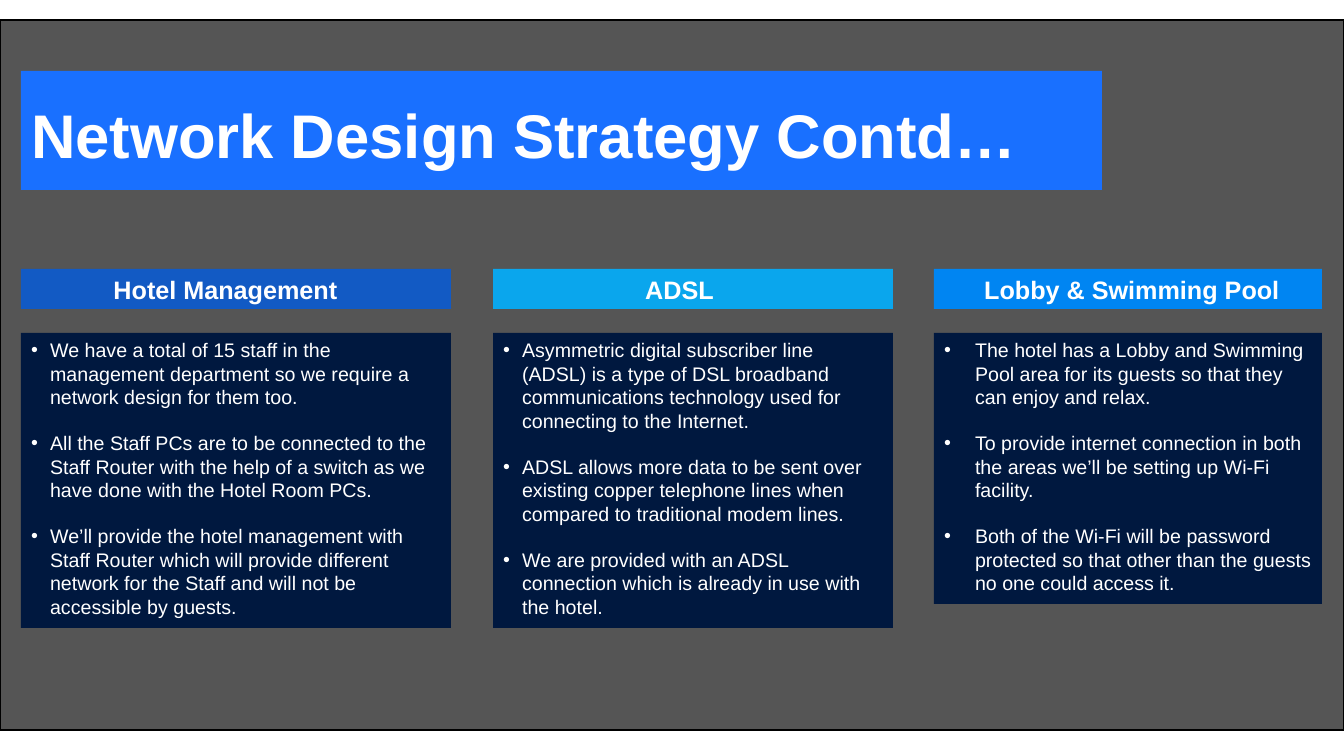
from lxml.etree import SubElement
from pptx import Presentation
from pptx.dml.color import RGBColor
from pptx.enum.shapes import MSO_SHAPE as Preset
from pptx.enum.text import MSO_ANCHOR as Anchor, MSO_AUTO_SIZE as AutoSize, PP_ALIGN as Align
from pptx.oxml.ns import qn
from pptx.util import Pt

EMU_PER_PX = 12192000 / 1344
WHITE, NAVY = "FFFFFF", "00183F"
HEADING_TOP, HEADING_HEIGHT, LIST_TOP = 269, 40, 333

# Each column: heading, bar colour, bar left and width, label left and width,
# list placeholder, list height, bullet indent, bullet points
COLUMNS = [
    ("Hotel Management", "125AC4", 21, 430, 43, 365, 2, 295, 19, [
        "We have a total of 15 staff in the management department so we require a "
        "network design for them too.",
        "All the Staff PCs are to be connected to the Staff Router with the help of a "
        "switch as we have done with the Hotel Room PCs.",
        "We’ll provide the hotel management with Staff Router which will provide "
        "different network for the Staff and will not be accessible by guests.",
    ]),
    ("ADSL", "0AA6ED", 493, 400, 510, 339, 4, 295, 19, [
        "Asymmetric digital subscriber line (ADSL) is a type of DSL broadband "
        "communications technology used for connecting to the Internet.",
        "ADSL allows more data to be sent over existing copper telephone lines when "
        "compared to traditional modem lines.",
        "We are provided with an ADSL connection which is already in use with the hotel.",
    ]),
    (" Lobby & Swimming Pool", "0085F2", 934, 388, 964, 329, 1, 271, 31, [
        "The hotel has a Lobby and Swimming Pool area for its guests so that they can "
        "enjoy and relax.",
        "To provide internet connection in both the areas we’ll be setting up Wi-Fi "
        "facility.",
        "Both of the Wi-Fi will be password protected so that other than the guests no "
        "one could access it.",
    ]),
]


def px(length):
    return round(length * EMU_PER_PX)


def color(hex_string):
    return RGBColor.from_string(hex_string)


def fill_shape(shape, hex_string):
    shape.fill.solid()
    shape.fill.fore_color.rgb = color(hex_string)


def place(shape, left, top, width, height):
    shape.left, shape.top = px(left), px(top)
    shape.width, shape.height = px(width), px(height)


def add_rectangle(slide, left, top, width, height, fill):
    shape = slide.shapes.add_shape(Preset.RECTANGLE, px(left), px(top), px(width), px(height))
    shape.shadow.inherit = False
    fill_shape(shape, fill)
    shape.line.fill.background()
    return shape


def prepare_text(shape, anchor):
    frame = shape.text_frame
    frame.word_wrap = True
    frame.auto_size = AutoSize.NONE
    frame.vertical_anchor = anchor
    return frame


def add_text(paragraph, text, size, bold, align):
    paragraph.alignment = align
    run = paragraph.add_run()
    run.text = text
    font = run.font
    font.name, font.size, font.bold = "Arial", Pt(size), bold
    font.color.rgb = color(WHITE)


def add_backdrop(slide):
    backdrop = add_rectangle(slide, 0, 20, 1344, 710, "0D0D0D")
    backdrop.line.color.rgb = color("000000")
    backdrop.line.width = Pt(1)
    fill_color = backdrop.fill._xPr.find(qn("a:solidFill"))[0]
    SubElement(fill_color, qn("a:alpha"), val="70000")
    # Send behind the placeholders
    slide.shapes._spTree.insert(2, backdrop._element)


def set_title(title, text):
    place(title, 21, 71, 1081, 119)
    fill_shape(title, "1970FF")
    paragraph = prepare_text(title, Anchor.MIDDLE).paragraphs[0]
    paragraph.line_spacing = 1.1
    paragraph.space_before = Pt(9)
    add_text(paragraph, text, 44, True, Align.LEFT)


def add_heading(slide, text, fill, left, width, label_left, label_width):
    add_rectangle(slide, left, HEADING_TOP, width, HEADING_HEIGHT, fill)
    label = slide.shapes.add_textbox(
        px(label_left), px(HEADING_TOP), px(label_width), px(HEADING_HEIGHT))
    paragraph = prepare_text(label, Anchor.MIDDLE).paragraphs[0]
    add_text(paragraph, text, 18, True, Align.CENTER)


def set_bullet(paragraph, indent):
    properties = paragraph._p.get_or_add_pPr()
    properties.set("marL", str(px(indent)))
    properties.set("indent", str(-px(indent)))
    SubElement(properties, qn("a:buFont"), typeface="Arial")
    SubElement(properties, qn("a:buChar"), char="•")


def fill_list(body, left, width, height, indent, points):
    place(body, left, LIST_TOP, width, height)
    fill_shape(body, NAVY)
    frame = prepare_text(body, Anchor.TOP)
    for number, point in enumerate(points):
        paragraph = frame.add_paragraph() if number else frame.paragraphs[0]
        paragraph.line_spacing = 1.0
        paragraph.space_before = Pt(0)
        paragraph.space_after = Pt(16 if number < len(points) - 1 else 0)
        set_bullet(paragraph, indent)
        add_text(paragraph, point, 14, False, Align.LEFT)


def main():
    presentation = Presentation()
    presentation.slide_width, presentation.slide_height = px(1344), px(756)
    # The comparison layout offers a title and four body placeholders
    slide = presentation.slides.add_slide(presentation.slide_layouts[4])
    bodies = {shape.placeholder_format.idx: shape for shape in slide.placeholders}

    add_backdrop(slide)
    set_title(slide.shapes.title, "Network Design Strategy Contd…")

    # Three columns, each a heading over a list
    for (heading, fill, left, width, label_left, label_width,
         body, height, indent, points) in COLUMNS:
        add_heading(slide, heading, fill, left, width, label_left, label_width)
        fill_list(bodies[body], left, width, height, indent, points)

    # Drop the unused placeholder
    unused = bodies[3]._element
    unused.getparent().remove(unused)
    presentation.save("out.pptx")


if __name__ == "__main__":
    main()
